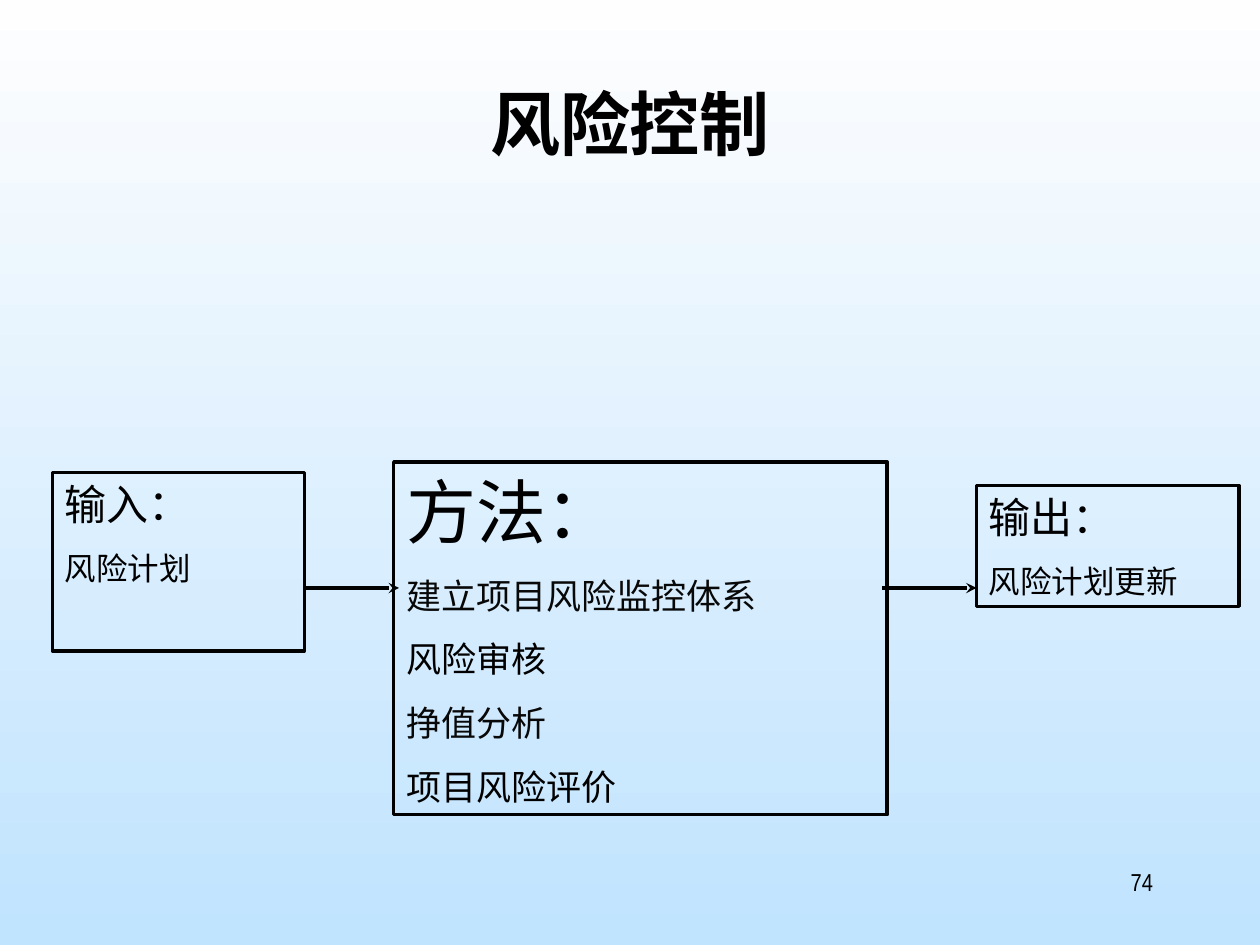
from lxml.etree import SubElement
from pptx import Presentation
from pptx.dml.color import RGBColor
from pptx.enum.shapes import MSO_CONNECTOR, MSO_SHAPE
from pptx.enum.text import MSO_ANCHOR, PP_ALIGN
from pptx.oxml.ns import qn
from pptx.util import Pt

COLORS = {"ink": "000000", "soft": "080808", "top": "FEFEFE", "bottom": "C0E3FE"}
SANS, NARROW = "Noto Sans CJK SC", "Arial Narrow"


def color(name):
    """Return the named colour."""
    return RGBColor.from_string(COLORS[name])


def add_run(p, text, size, font=NARROW, ink="ink", bold=False):
    """Add a run with one typeface for Latin and East Asian text."""
    r = p.add_run()
    r.text = text
    r.font.size, r.font.bold, r.font.name = Pt(size), bold, font
    r.font.color.rgb = color(ink)
    SubElement(r.font._element, qn("a:ea"), typeface=font)


def add_background(s):
    """Fill the slide from white down to light blue."""
    fill = s.background.fill
    fill.gradient()
    fill.gradient_angle = 270
    for stop, name, position in zip(fill.gradient_stops, ("top", "bottom"), (0, 1)):
        stop.color.rgb = color(name)
        stop.position = position


def add_label(s, box, text, size, align, font=NARROW, bold=False, spacing=1.0):
    """Place a single line of text in a box."""
    tf = s.shapes.add_textbox(*map(Pt, box)).text_frame
    tf.word_wrap = True
    p = tf.paragraphs[0]
    p.alignment, p.line_spacing = align, spacing
    add_run(p, text, size, font, bold=bold)


def add_stage(s, box, heading, heading_size, items, item_size, gap):
    """Draw an outlined stage with a heading and its items."""
    sp = s.shapes.add_shape(MSO_SHAPE.RECTANGLE, *map(Pt, box))
    sp.shadow.inherit = False
    sp.fill.background()
    sp.line.color.rgb, sp.line.width = color("ink"), Pt(2)
    tf = sp.text_frame
    tf.word_wrap, tf.vertical_anchor = True, MSO_ANCHOR.TOP
    p = tf.paragraphs[0]
    p.alignment = PP_ALIGN.LEFT
    add_run(p, heading, heading_size)
    for text, ink in items:
        p = tf.add_paragraph()
        p.alignment, p.space_before = PP_ALIGN.LEFT, Pt(gap)
        add_run(p, text, item_size, ink=ink)


def add_arrow(s, x, y, length):
    """Draw a horizontal arrow to the right."""
    c = s.shapes.add_connector(MSO_CONNECTOR.STRAIGHT, Pt(x), Pt(y), Pt(x + length), Pt(y))
    c.line.color.rgb, c.line.width = color("ink"), Pt(2)
    SubElement(c.line._get_or_add_ln(), qn("a:tailEnd"), type="stealth")
    SubElement(c._element.spPr, qn("a:effectLst"))


def main():
    """Build the risk control slide."""
    prs = Presentation()
    prs.slide_width, prs.slide_height = Pt(720), Pt(540)
    s = prs.slides.add_slide(prs.slide_layouts[6])
    add_background(s)
    add_label(s, (54, 48, 612, 90), "风险控制", 40, PP_ALIGN.CENTER, SANS, True, 0.9)
    methods = [("建立项目风险监控体系", "soft"), ("风险审核", "ink"),
               ("挣值分析", "soft"), ("项目风险评价", "ink")]
    add_stage(s, (225, 264, 282, 201.6), "方法：", 40, methods, 20, 12.5)
    add_stage(s, (30, 270, 144, 102), "输入：", 24, [("风险计划", "ink")], 18, 11.2)
    add_stage(s, (558, 277.5, 150, 69), "输出：", 24, [("风险计划更新", "ink")], 18, 11.2)
    for x in (174, 504):
        add_arrow(s, x, 336, 54)
    add_label(s, (516, 492, 150, 36), "74", 14, PP_ALIGN.RIGHT)
    prs.save("out.pptx")


if __name__ == "__main__":
    main()
